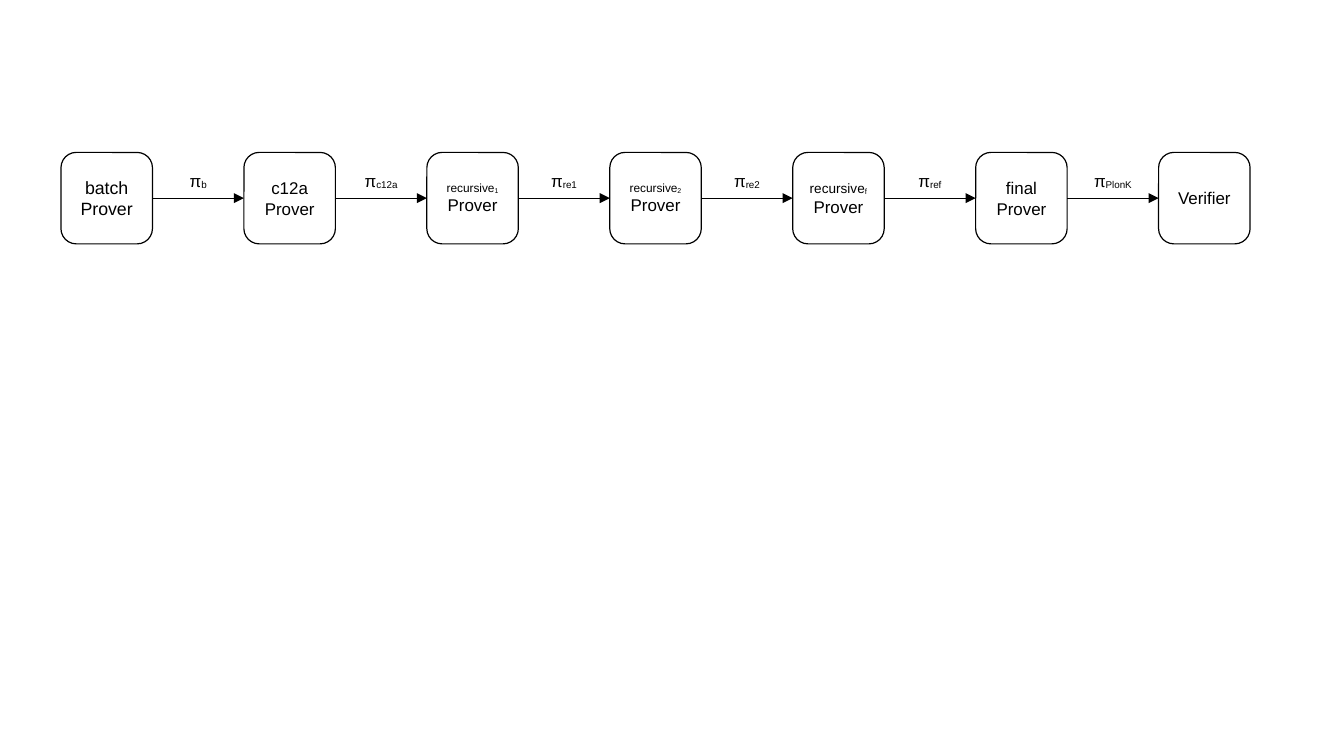
import pptx
import pptx.util
import pptx.dml.color
import pptx.enum.shapes
import pptx.enum.text
import pptx.oxml.ns
from lxml import etree

Inches = pptx.util.Inches
Pt = pptx.util.Pt
BLACK = pptx.dml.color.RGBColor(0, 0, 0)
WHITE = pptx.dml.color.RGBColor(255, 255, 255)

SIDE = 0.75
LEFT = 0.5
TOP = 1.25
STEP = 2 * SIDE

# Each stage: lines of (text, subscript, size), then the proof it sends on
STAGES = [
    ([("batch", "", 10.5), ("Prover", "", 10.5)], "b"),
    ([("c12a", "", 10), ("Prover", "", 10)], "c12a"),
    ([("recursive", "1", 7), ("Prover", "", 10)], "re1"),
    ([("recursive", "2", 7), ("Prover", "", 10)], "re2"),
    ([("recursive", "f", 8), ("Prover", "", 10)], "ref"),
    ([("final", "", 10), ("Prover", "", 10)], "PlonK"),
    ([("Verifier", "", 10)], None),
]


class Chain:
    font = "Arial"
    width = Pt(0.71)

    def __init__(self, slide):
        self.shapes = slide.shapes

    def letter(self, shape, lines):
        """Fill a shape with centred lines, each with an optional subscript."""
        frame = shape.text_frame
        frame.word_wrap = True
        frame.vertical_anchor = pptx.enum.text.MSO_ANCHOR.MIDDLE
        frame.text = "\n".join(text for text, sub, size in lines)
        for para, (text, sub, size) in zip(frame.paragraphs, lines):
            para.alignment = pptx.enum.text.PP_ALIGN.CENTER
            if sub:
                run = para.add_run()
                run.text = sub
                run.font._element.set("baseline", "-8000")
            for run in para.runs:
                run.font.name = self.font
                run.font.size = Pt(size)
                run.font.color.rgb = BLACK

    def stroke(self, line):
        line.color.rgb = BLACK
        line.width = self.width

    def box(self, x, lines):
        kind = pptx.enum.shapes.MSO_SHAPE.ROUNDED_RECTANGLE
        shape = self.shapes.add_shape(
            kind, Inches(x), Inches(TOP), Inches(SIDE), Inches(SIDE))
        shape.shadow.inherit = False
        shape.fill.solid()
        shape.fill.fore_color.rgb = WHITE
        self.stroke(shape.line)
        self.letter(shape, lines)

    def label(self, x, sub):
        shape = self.shapes.add_textbox(
            Inches(x), Inches(1.34), Inches(SIDE), Inches(0.28))
        self.letter(shape, [("π", sub, 10)])
        shape.text_frame.auto_size = (
            pptx.enum.text.MSO_AUTO_SIZE.SHAPE_TO_FIT_TEXT)

    def arrow(self, x):
        y = Inches(TOP + SIDE / 2)
        kind = pptx.enum.shapes.MSO_CONNECTOR.STRAIGHT
        link = self.shapes.add_connector(
            kind, Inches(x), y, Inches(x + SIDE), y)
        self.stroke(link.line)
        qn = pptx.oxml.ns.qn
        props = link._element.spPr
        tail = etree.SubElement(props.find(qn("a:ln")), qn("a:tailEnd"))
        tail.set("type", "triangle")
        etree.SubElement(props, qn("a:effectLst"))


def main():
    deck = pptx.Presentation()
    deck.slide_width = Inches(11.02)
    deck.slide_height = Inches(6.2)
    chain = Chain(deck.slides.add_slide(deck.slide_layouts[6]))
    for i, (lines, proof) in enumerate(STAGES):
        x = LEFT + i * STEP
        chain.box(x, lines)
        if proof:
            chain.label(x + SIDE, proof)
            chain.arrow(x + SIDE)
    deck.save("out.pptx")


if __name__ == "__main__":
    main()
